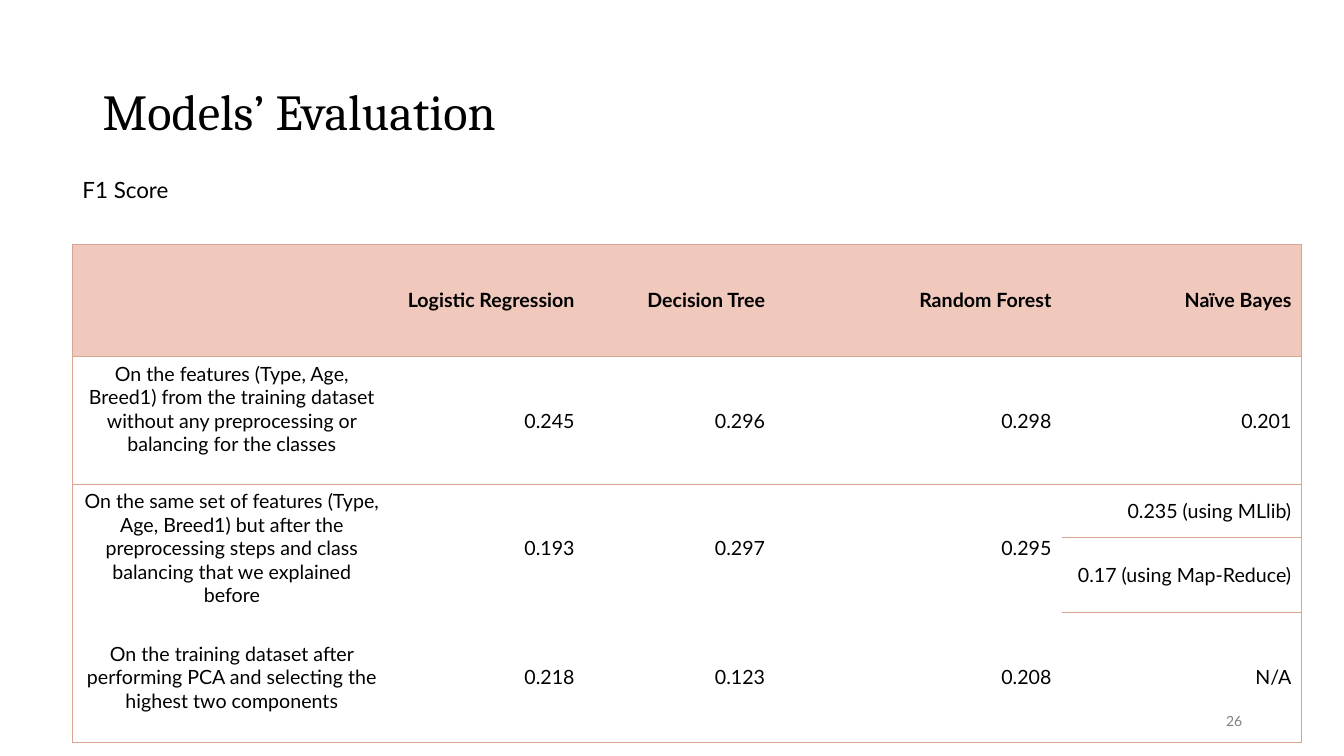
from lxml import etree
from pptx import Presentation
from pptx.dml.color import RGBColor
from pptx.enum import text
from pptx.oxml import ns
from pptx.util import Inches, Pt

ROSE, EDGE = "F0C8BC", "D9A491"
MID, ALIGN = text.MSO_ANCHOR.MIDDLE, text.PP_ALIGN


def style(frame, size, font, color, align, bold=False):
    frame.word_wrap = True
    frame.vertical_anchor = MID
    for para in frame.paragraphs:
        para.alignment = align
        for run in para.runs:
            run.font.size = Pt(size)
            run.font.name = font
            run.font.bold = bold
            run.font.color.rgb = RGBColor.from_string(color)


def border(cell, side, shown):
    line = etree.SubElement(cell._tc.get_or_add_tcPr(), ns.qn("a:ln" + side), w=str(Pt(0.5)))
    if shown:
        fill = etree.SubElement(line, ns.qn("a:solidFill"))
        etree.SubElement(fill, ns.qn("a:srgbClr"), val=EDGE)
    else:
        etree.SubElement(line, ns.qn("a:noFill"))


prs = Presentation()
prs.slide_width, prs.slide_height = Inches(13.33), Inches(7.5)
slide = prs.slides.add_slide(prs.slide_layouts[6])

# Table data; None marks a cell merged with the one above
rows = [
    ["", "Logistic Regression", "Decision Tree", "Random Forest", "Naïve Bayes"],
    ["On the features (Type, Age, Breed1) from the training dataset without any "
     "preprocessing or balancing for the classes", "0.245", "0.296", "0.298", "0.201"],
    ["On the same set of features (Type, Age, Breed1) but after the preprocessing "
     "steps and class balancing that we explained before",
     "0.193", "0.297", "0.295", "0.235 (using MLlib)"],
    [None, None, None, None, "0.17 (using Map-Reduce)"],
    ["On the training dataset after performing PCA and selecting the highest two "
     "components", "0.218", "0.123", "0.208", "N/A"],
]
widths = [3.16, 1.92, 1.89, 2.84, 2.38]
heights = [1.12, 1.26, 0.53, 0.74, 1.29]

# Score table
table = slide.shapes.add_table(5, 5, Inches(0.72), Inches(2.42),
                               Inches(sum(widths)), Inches(sum(heights))).table
table.horz_banding = False
for col, width in zip(table.columns, widths):
    col.width = Inches(width)
for row, height in zip(table.rows, heights):
    row.height = Inches(height)

for r, row in enumerate(rows):
    for c, words in enumerate(row):
        cell = table.cell(r, c)
        # Rules cross the whole table, except around the split last column
        border(cell, "L", c == 0)
        border(cell, "R", c == 4)
        border(cell, "T", r < 3 or c == 4)
        border(cell, "B", r in (0, 1, 4) or c == 4)
        if r == 0:
            cell.fill.solid()
            cell.fill.fore_color.rgb = RGBColor.from_string(ROSE)
        else:
            cell.fill.background()
        if words is None:
            table.cell(r - 1, c).merge(cell)
            continue
        cell.text_frame.text = words
        style(cell.text_frame, 14, "Lato", "000000",
              ALIGN.RIGHT if c else ALIGN.CENTER, r == 0)
        cell.vertical_anchor = MID
table.cell(1, 0).margin_bottom = Inches(0.28)

# Title, subtitle and page number
for words, box, size, font, color, align, space in [
    ("Models’ Evaluation", (0.92, 0.78, 11.5, 0.7), 36, "Cambria", "000000", ALIGN.LEFT, 0.9),
    ("F1 Score", (0.72, 1.6, 5.64, 0.6), 16, "Lato", "000000", ALIGN.LEFT, 0.9),
    ("26", (9.42, 6.95, 3, 0.4), 10, "Lato", "808080", ALIGN.RIGHT, 1.0),
]:
    frame = slide.shapes.add_textbox(*map(Inches, box)).text_frame
    frame.text = words
    frame.paragraphs[0].line_spacing = space
    style(frame, size, font, color, align)

prs.save("out.pptx")
